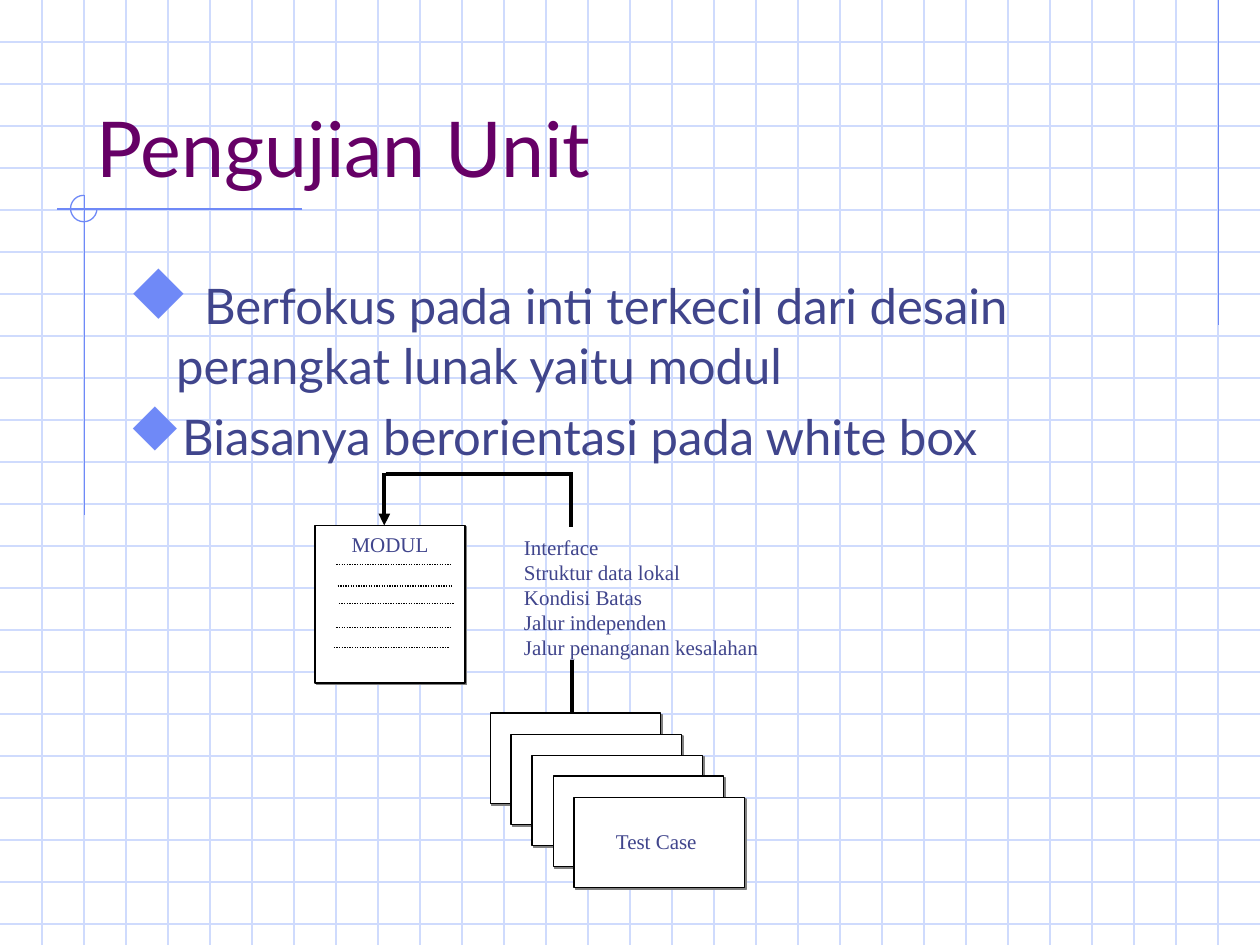
"""Build the unit testing slide: title, two bullets and a module/test case diagram."""
from lxml import etree
from pptx import Presentation
from pptx import util as u
from pptx.dml.color import RGBColor
from pptx.enum import dml, shapes, text
from pptx.oxml.ns import qn

COLORS = {"grid": "CFDBFD", "accent": "6F89F7", "title": "660066", "body": "40458C",
          "ink": "000000", "paper": "FFFFFF", "shadow": "808080"}
SANS, SERIF, SYMBOL = "Lato", "Times New Roman", "Wingdings"
DIAMOND = "u"
WIDTH, HEIGHT = 10, 7.5

TITLE = "Pengujian Unit"
BULLETS = [
    [(" ", 32), ("Berfokus pada inti terkecil dari desain perangkat lunak yaitu modul", 28)],
    [("Biasanya berorientasi pada white box", 28)],
]
CHECKS = ["Interface", "Struktur data lokal", "Kondisi Batas", "Jalur independen",
          "Jalur penanganan kesalahan"]
ACCENT_LINES = [(9.67, 0, 9.67, 2.58), (2.4, 1.66, 0.45, 1.66), (0.67, 1.55, 0.67, 4.09)]
CODE_LINES = [(2.67, 4.48), (2.69, 4.79), (2.68, 4.65), (2.67, 4.98), (2.65, 5.14)]
CODE_WIDTH = 0.91
FLOW_LINES = [(3.06, 3.76, 4.55, 3.76), (4.53, 4.18, 4.53, 3.76), (4.54, 5.66, 4.54, 5.24)]
ARROW = (3.05, 4.17, 3.05, 3.75)
CARD_COUNT, CARD_STEP = 5, 1 / 6


def rgb(name):
    return RGBColor.from_string(COLORS[name])


def add_line(s, points, color, width=0.75):
    ln = s.shapes.add_connector(shapes.MSO_CONNECTOR.STRAIGHT, *map(u.Inches, points))
    ln.line.color.rgb = rgb(color)
    ln.line.width = u.Pt(width)
    etree.SubElement(ln._element.spPr, qn("a:effectLst"))
    return ln


def style(p, font, size, color):
    for r in p.runs:
        r.font.name, r.font.size = font, u.Pt(size)
        r.font.color.rgb = rgb(color)


def add_text(s, box, lines, font, size, color, anchor=text.MSO_ANCHOR.TOP):
    tf = s.shapes.add_textbox(*map(u.Inches, box)).text_frame
    tf.word_wrap = True
    tf.vertical_anchor = anchor
    tf.text = "\n".join(lines)
    for p in tf.paragraphs:
        style(p, font, size, color)


def add_bullet(p):
    pPr = p._p.get_or_add_pPr()
    pPr.set("marL", str(u.Inches(0.38)))
    pPr.set("indent", str(u.Inches(-0.38)))
    p.space_before = u.Pt(7)
    color = etree.SubElement(pPr, qn("a:buClr"))
    etree.SubElement(color, qn("a:srgbClr"), val=COLORS["accent"])
    etree.SubElement(pPr, qn("a:buSzPct"), val="110000")
    etree.SubElement(pPr, qn("a:buFont"), typeface=SYMBOL, charset="2")
    etree.SubElement(pPr, qn("a:buChar"), char=DIAMOND)


def add_card(s, box):
    sp = s.shapes.add_shape(shapes.MSO_SHAPE.RECTANGLE, *map(u.Inches, box))
    sp.fill.solid()
    sp.fill.fore_color.rgb = rgb("paper")
    sp.line.color.rgb = rgb("ink")
    sp.line.width = u.Pt(0.75)
    sp.shadow.inherit = False
    effects = sp._element.spPr.find(qn("a:effectLst"))
    shadow = etree.SubElement(effects, qn("a:outerShdw"), dist=str(u.Pt(1.4)), dir="2700000")
    etree.SubElement(shadow, qn("a:srgbClr"), val=COLORS["shadow"])
    return sp


def draw_background(s):
    for i in range(1, 23):
        add_line(s, (0, i / 3, WIDTH, i / 3), "grid")
    for i in range(1, 30):
        add_line(s, (i / 3, 0, i / 3, HEIGHT), "grid")
    for points in ACCENT_LINES:
        add_line(s, points, "accent")
    arc = s.shapes.add_shape(shapes.MSO_SHAPE.ARC, *map(u.Inches, (0.56, 1.55, 0.21, 0.21)))
    arc.adjustments[0], arc.adjustments[1] = 0, 162
    arc.fill.background()
    arc.line.color.rgb = rgb("accent")
    arc.line.width = u.Pt(0.75)
    arc.shadow.inherit = False


def draw_bullets(s):
    tf = s.shapes.add_textbox(*map(u.Inches, (0.92, 2.08, 8.5, 4.5))).text_frame
    tf.word_wrap = True
    for i, parts in enumerate(BULLETS):
        p = tf.add_paragraph() if i else tf.paragraphs[0]
        add_bullet(p)
        for words, size in parts:
            r = p.add_run()
            r.text = words
            r.font.name, r.font.size = SANS, u.Pt(size)
            r.font.color.rgb = rgb("body")


def draw_diagram(s):
    module = add_card(s, (2.5, 4.17, 1.19, 1.25))
    tf = module.text_frame
    tf.vertical_anchor = text.MSO_ANCHOR.TOP
    tf.text = "MODUL"
    tf.paragraphs[0].alignment = text.PP_ALIGN.CENTER
    style(tf.paragraphs[0], SERIF, 12, "body")
    for x, y in CODE_LINES:
        code = add_line(s, (x, y, x + CODE_WIDTH, y), "ink")
        code.line.dash_style = dml.MSO_LINE.ROUND_DOT
    arrow = add_line(s, ARROW, "ink", 2.25)
    etree.SubElement(arrow._element.spPr.find(qn("a:ln")), qn("a:headEnd"), type="triangle")
    for points in FLOW_LINES:
        add_line(s, points, "ink", 2.25)
    add_text(s, (4.06, 4.19, 2.39, 1.22), CHECKS, SERIF, 12, "body")
    for i in range(CARD_COUNT):
        add_card(s, (3.89 + i * CARD_STEP, 5.66 + i * CARD_STEP, 1.35, 0.72))
    add_text(s, (4.79, 6.53, 0.97, 0.3), ["Test Case"], SERIF, 12, "body")


def main():
    prs = Presentation()
    prs.slide_width, prs.slide_height = u.Inches(WIDTH), u.Inches(HEIGHT)
    s = prs.slides.add_slide(prs.slide_layouts[6])
    s.background.fill.solid()
    s.background.fill.fore_color.rgb = rgb("paper")
    draw_background(s)
    add_text(s, (0.67, 0.33, 8.5, 1.25), [TITLE], SANS, 44, "title", text.MSO_ANCHOR.BOTTOM)
    draw_bullets(s)
    draw_diagram(s)
    prs.save("out.pptx")


if __name__ == "__main__":
    main()
